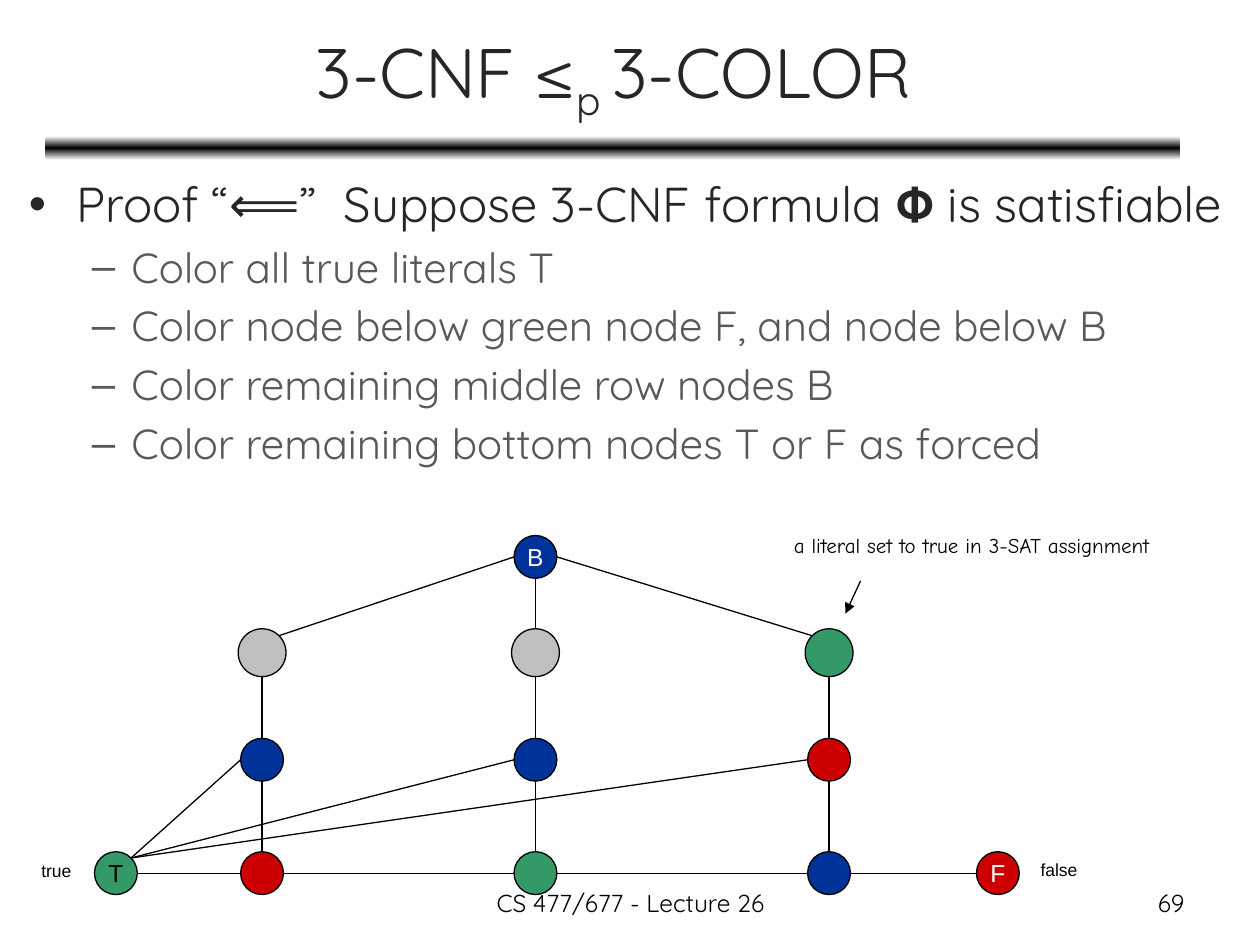
from lxml.etree import SubElement as Sub
from pptx import Presentation
from pptx.dml.color import RGBColor as RGB
from pptx.enum.shapes import MSO_CONNECTOR as CONN, MSO_SHAPE as SHAPE
from pptx.enum.text import MSO_ANCHOR as ANCHOR, MSO_AUTO_SIZE as AUTO, PP_ALIGN as ALIGN
from pptx.oxml.ns import qn
from pptx.util import Inches, Pt

BLACK, WHITE = RGB(0, 0, 0), RGB(255, 255, 255)
DARK, MID, GRAY = RGB(0x26, 0x26, 0x26), RGB(0x59, 0x59, 0x59), RGB(0xBF, 0xBF, 0xBF)
GREEN, BLUE, RED = RGB(0x33, 0x99, 0x66), RGB(0, 0x33, 0x99), RGB(0xCC, 0, 0)
MAIN = "Quicksand"

TITLE = ["3-CNF ≤", "p ", "3-COLOR"]
HEAD = "Proof “⟸”\tSuppose 3-CNF formula 𝚽 is satisfiable"
STEPS = [
    "Color all true literals T",
    "Color node below green node F, and node below B",
    "Color remaining middle row nodes B",
    "Color remaining bottom nodes T or F as forced",
]
COLS = [2.08, 4.25, 6.58]
ROWS = {"lit": (5.18, 0.19, [GRAY, GRAY, GREEN]),
        "mid": (6.03, 0.17, [BLUE, BLUE, RED]),
        "low": (6.93, 0.17, [RED, GREEN, BLUE])}
ENDS = {"B": (4.25, 4.42, 0.17, BLUE, WHITE),
        "T": (0.92, 6.93, 0.17, GREEN, BLACK),
        "F": (7.92, 6.93, 0.17, RED, WHITE)}
DIAG = 0.5 ** 0.5
SIDES = {"top": (0, -1), "left": (-1, 0), "bottom": (0, 1), "right": (1, 0),
         "nw": (-DIAG, -DIAG), "ne": (DIAG, -DIAG)}
FANS = [("left", "ne"), ("bottom", "top"), ("right", "nw")]
LABELS = [
    ("a literal set to true in 3-SAT assignment", (6.3, 4.23, 3.19, 0.23), 12, "Comic Neue", ALIGN.LEFT, 0),
    ("true", (0.23, 6.78, 0.47, 0.3), 10, "Arial", ALIGN.LEFT, 0.1),
    ("false", (8.16, 6.77, 0.51, 0.3), 10, "Arial", ALIGN.LEFT, 0.1),
    ("CS 477/677 - Lecture 26", (3.42, 7, 3.17, 0.35), 14, MAIN, ALIGN.CENTER, 0.1),
    ("69", (7.17, 7, 2.33, 0.35), 14, MAIN, ALIGN.RIGHT, 0.1),
]


def place(shape, box):
    shape.left, shape.top, shape.width, shape.height = map(Inches, box)


def style(item, size, name, color):
    item.font.size, item.font.name = Pt(size), name
    item.font.color.rgb = color


def add_title(slide):
    shape = slide.shapes.title
    place(shape, (0.37, 0.11, 9, 0.99))
    frame = shape.text_frame
    frame.auto_size, frame.vertical_anchor = AUTO.NONE, ANCHOR.MIDDLE
    para = frame.paragraphs[0]
    para.alignment = ALIGN.CENTER
    for text in TITLE:
        run = para.add_run()
        run.text = text
        style(run, 40, MAIN, DARK)
    para.runs[1]._r.get_or_add_rPr().set("baseline", "-25000")


def add_body(slide):
    shape = slide.placeholders[1]
    place(shape, (0.13, 1.33, 10.28, 5.55))
    frame = shape.text_frame
    frame.text = "\n".join([HEAD, *STEPS])
    frame.auto_size = AUTO.NONE
    for i, para in enumerate(frame.paragraphs):
        para.level = min(i, 1)
        size, color = (24, MID) if i else (28, DARK)
        for run in para.runs:
            style(run, size, MAIN, color)
    head = frame.paragraphs[0]
    head.space_before = Pt(0)
    tabs = Sub(head._p.get_or_add_pPr(), qn("a:tabLst"))
    Sub(tabs, qn("a:tab"), pos=str(Inches(2.5)), algn="l")


def add_bar(slide):
    bar = slide.shapes.add_shape(SHAPE.ROUNDED_RECTANGLE, *map(Inches, (0.36, 1.08, 9.01, 0.19)))
    bar.shadow.inherit = False
    bar.line.fill.background()
    bar.fill.gradient()
    bar.fill.gradient_angle = 90
    stops = bar._element.spPr.find(qn("a:gradFill")).find(qn("a:gsLst"))
    stops.clear()
    for pos, color in [(0, WHITE), (50, BLACK), (100, WHITE)]:
        stop = Sub(stops, qn("a:gs"), pos=str(pos * 1000))
        Sub(stop, qn("a:srgbClr"), val=str(color))


def add_line(slide, start, end):
    line = slide.shapes.add_connector(CONN.STRAIGHT, *map(Inches, (*start, *end)))
    line.line.color.rgb, line.line.width = BLACK, Pt(0.75)
    Sub(line._element.spPr, qn("a:effectLst"))
    return line


def add_node(slide, x, y, r, fill, ink=BLACK, text=""):
    node = slide.shapes.add_shape(SHAPE.OVAL, *map(Inches, (x - r, y - r, 2 * r, 2 * r)))
    node.shadow.inherit = False
    node.fill.solid()
    node.fill.fore_color.rgb = fill
    node.line.color.rgb, node.line.width = BLACK, Pt(0.75)
    if text:
        frame = node.text_frame
        frame.text, frame.word_wrap = text, False
        frame.vertical_anchor = ANCHOR.MIDDLE
        para = frame.paragraphs[0]
        para.alignment = ALIGN.CENTER
        style(para.runs[0], 14, "Arial", ink)


def add_graph(slide):
    nodes = {(row, i): (x, y, r, fills[i])
             for row, (y, r, fills) in ROWS.items() for i, x in enumerate(COLS)}
    nodes.update(ENDS)

    def spot(key, side):
        x, y, r = nodes[key][:3]
        dx, dy = SIDES[side]
        return x + r * dx, y + r * dy

    for key, node in nodes.items():
        add_node(slide, *node, text=key if key in ENDS else "")
    for i, (out, into) in enumerate(FANS):
        add_line(slide, spot("B", out), spot(("lit", i), into))
        add_line(slide, spot(("mid", i), "top"), spot(("lit", i), "bottom"))
        add_line(slide, spot(("low", i), "top"), spot(("mid", i), "bottom"))
        add_line(slide, spot("T", "ne"), spot(("mid", i), "left"))
    chain = ["T", *(("low", i) for i in range(len(COLS))), "F"]
    for a, b in zip(chain, chain[1:]):
        add_line(slide, spot(a, "right"), spot(b, "left"))
    arrow = add_line(slide, (6.83, 4.61), (6.71, 4.87))
    Sub(arrow.line._get_or_add_ln(), qn("a:tailEnd"), type="triangle")


def add_label(slide, text, box, size, name, align, inset):
    frame = slide.shapes.add_textbox(*map(Inches, box)).text_frame
    frame.text, frame.word_wrap = text, align != ALIGN.LEFT
    frame.margin_left = frame.margin_right = Inches(inset)
    frame.margin_top = frame.margin_bottom = Inches(inset / 2)
    para = frame.paragraphs[0]
    para.alignment = align
    style(para.runs[0], size, name, BLACK)


def main():
    """Build the slide on reducing 3-CNF to 3-COLOR."""
    deck = Presentation()
    deck.slide_width, deck.slide_height = Inches(10), Inches(7.5)
    slide = deck.slides.add_slide(deck.slide_layouts[1])
    add_bar(slide)
    add_title(slide)
    add_body(slide)
    add_graph(slide)
    for label in LABELS:
        add_label(slide, *label)
    deck.save("out.pptx")


if __name__ == "__main__":
    main()
